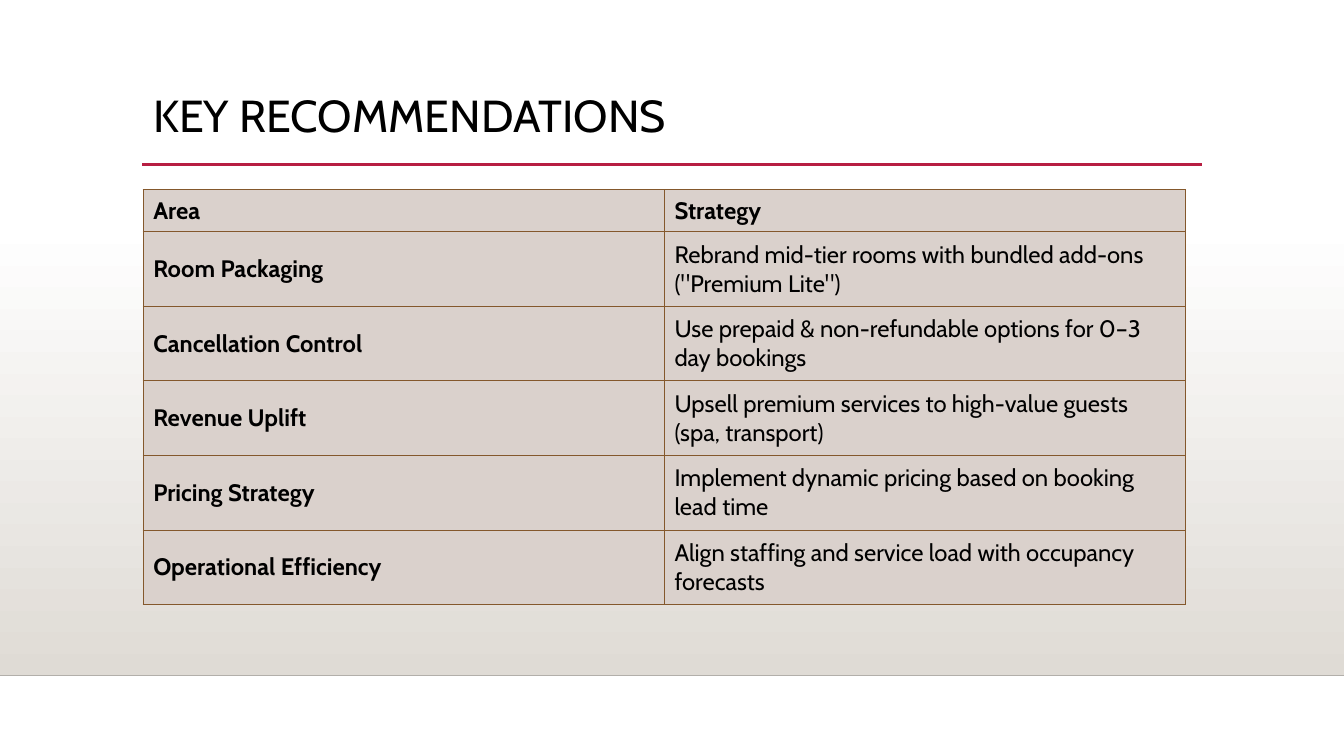
from typing import NamedTuple

from lxml import etree
from pptx import Presentation
from pptx.dml.color import RGBColor
from pptx.enum.shapes import MSO_CONNECTOR, MSO_SHAPE
from pptx.enum.text import MSO_ANCHOR, MSO_AUTO_SIZE, PP_ALIGN
from pptx.oxml.ns import qn
from pptx.util import Inches, Pt

STRAIGHT = MSO_CONNECTOR.STRAIGHT
RECTANGLE = MSO_SHAPE.RECTANGLE
TOP, MIDDLE = MSO_ANCHOR.TOP, MSO_ANCHOR.MIDDLE
LEFT = PP_ALIGN.LEFT
NO_AUTO_SIZE = MSO_AUTO_SIZE.NONE

FONT = "Cabin"
BLACK = "000000"
FLOOR = "DFDBD5"
CELL_FILL = "DAD1CC"
BORDER = "84582C"
SLIDE_WIDTH = 13.33
FLOOR_TOP, FLOOR_BOTTOM = 2.21, 6.7
HEADER_HEIGHT, ROW_HEIGHT = 0.42, 0.74


class Rule(NamedTuple):
    left: float
    right: float
    y: float
    color: str
    weight: float


class Recommendation(NamedTuple):
    area: str
    strategy: str


RULES = [
    Rule(0, SLIDE_WIDTH, FLOOR_BOTTOM, "B2AFAA", 1),
    Rule(1.41, 11.92, 1.63, "B71E42", 2.5),
]

RECOMMENDATIONS = [
    Recommendation("Area", "Strategy"),
    Recommendation("Room Packaging", 'Rebrand mid-tier rooms with bundled add-ons ("Premium Lite")'),
    Recommendation("Cancellation Control", "Use prepaid & non-refundable options for 0–3 day bookings"),
    Recommendation("Revenue Uplift", "Upsell premium services to high-value guests (spa, transport)"),
    Recommendation("Pricing Strategy", "Implement dynamic pricing based on booking lead time"),
    Recommendation("Operational Efficiency", "Align staffing and service load with occupancy forecasts"),
]


def rgb(color: str) -> RGBColor:
    return RGBColor.from_string(color)


def set_font(paragraph, size: float, bold: bool = False) -> None:
    font = paragraph.font
    font.name, font.size, font.bold = FONT, Pt(size), bold
    font.color.rgb = rgb(BLACK)


def add_floor(slide) -> None:
    """Shade the lower part of the slide from white to warm grey."""
    floor = slide.shapes.add_shape(
        RECTANGLE, 0, Inches(FLOOR_TOP), Inches(SLIDE_WIDTH), Inches(FLOOR_BOTTOM - FLOOR_TOP)
    )
    floor.shadow.inherit = False
    floor.line.fill.background()
    floor.fill.gradient()
    floor.fill.gradient_angle = 270
    for stop, color, position in zip(floor.fill.gradient_stops, ("FFFFFF", FLOOR), (0, 1)):
        stop.color.rgb = rgb(color)
        stop.position = position


def add_rule(slide, rule: Rule) -> None:
    y = Inches(rule.y)
    connector = slide.shapes.add_connector(STRAIGHT, Inches(rule.left), y, Inches(rule.right), y)
    connector.line.color.rgb = rgb(rule.color)
    connector.line.width = Pt(rule.weight)
    etree.SubElement(connector._element.spPr, qn("a:effectLst"))


def format_title(slide, text: str) -> None:
    title = slide.shapes.title
    title.left, title.top = Inches(1.42), Inches(0.88)
    title.width, title.height = Inches(10.5), Inches(1.15)
    frame = title.text_frame
    frame.text = text
    frame.word_wrap = True
    frame.auto_size = NO_AUTO_SIZE
    frame.vertical_anchor = TOP
    paragraph = frame.paragraphs[0]
    paragraph.alignment = LEFT
    paragraph.line_spacing = 0.9
    set_font(paragraph, 32)


def add_borders(cell) -> None:
    properties = cell._tc.get_or_add_tcPr()
    for side in ("a:lnL", "a:lnR", "a:lnT", "a:lnB"):
        line = etree.SubElement(properties, qn(side), w=str(Pt(0.75)))
        fill = etree.SubElement(line, qn("a:solidFill"))
        etree.SubElement(fill, qn("a:srgbClr"), val=BORDER)


def format_cell(cell, text: str, bold: bool) -> None:
    cell.text = text
    cell.vertical_anchor = MIDDLE
    add_borders(cell)
    cell.fill.solid()
    cell.fill.fore_color.rgb = rgb(CELL_FILL)
    set_font(cell.text_frame.paragraphs[0], 17, bold)


def add_recommendations(slide, recommendations: list[Recommendation]) -> None:
    row_count = len(recommendations)
    height = HEADER_HEIGHT + ROW_HEIGHT * (row_count - 1)
    table = slide.shapes.add_table(
        row_count, 2, Inches(1.42), Inches(1.88), Inches(10.34), Inches(height)
    ).table
    table.first_row = table.horz_banding = False
    for row_index, recommendation in enumerate(recommendations):
        is_header = row_index == 0
        table.rows[row_index].height = Inches(HEADER_HEIGHT if is_header else ROW_HEIGHT)
        for column_index, text in enumerate(recommendation):
            format_cell(table.cell(row_index, column_index), text, is_header or column_index == 0)


def main() -> None:
    presentation = Presentation()
    presentation.slide_width = Inches(SLIDE_WIDTH)
    presentation.slide_height = Inches(7.5)
    slide = presentation.slides.add_slide(presentation.slide_layouts.get_by_name("Title Only"))
    add_floor(slide)
    for rule in RULES:
        add_rule(slide, rule)
    format_title(slide, "KEY RECOMMENDATIONS")
    add_recommendations(slide, RECOMMENDATIONS)
    presentation.save("out.pptx")


if __name__ == "__main__":
    main()
